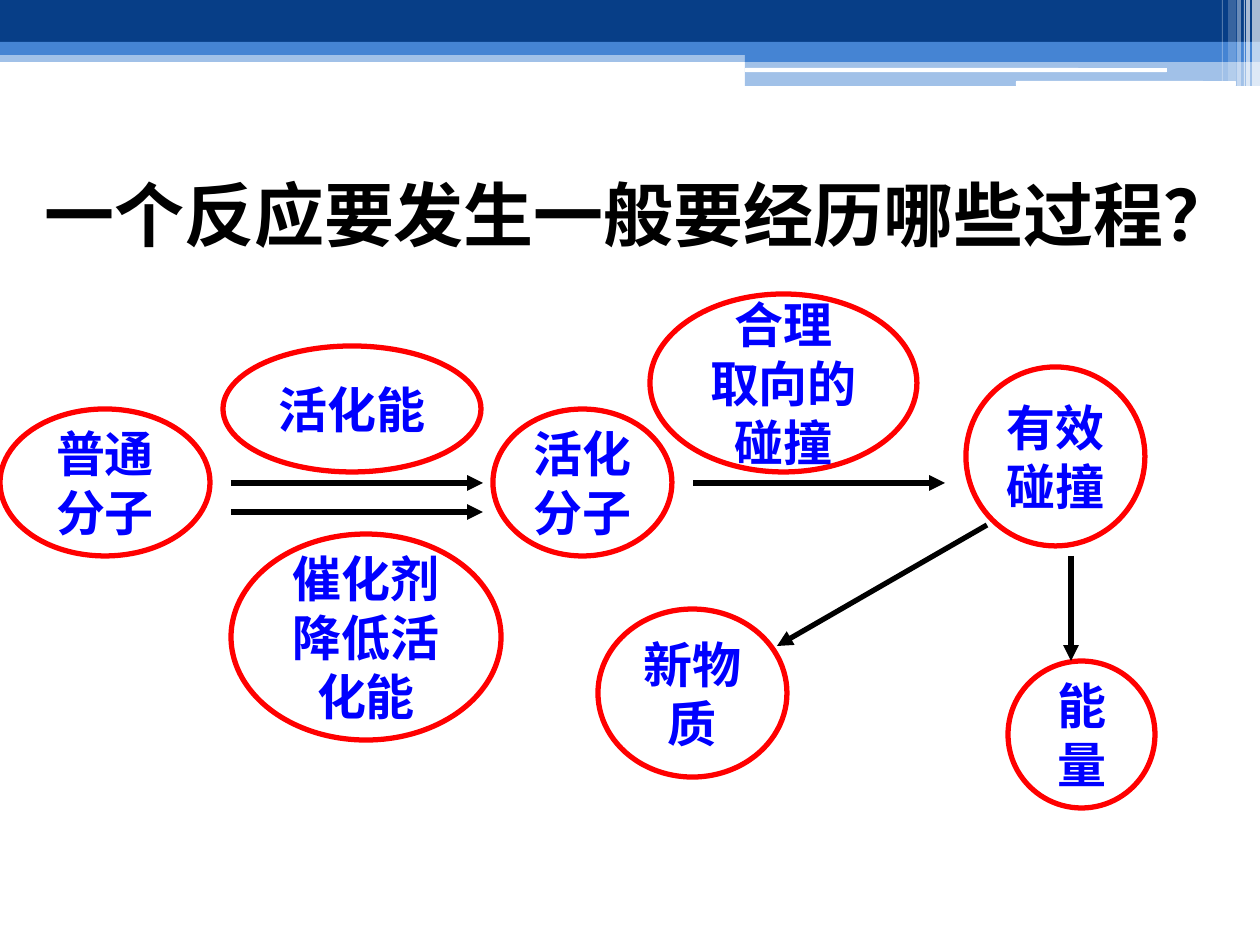
from lxml import etree
from pptx import Presentation
from pptx.dml.color import RGBColor
from pptx.enum.shapes import MSO_CONNECTOR, MSO_SHAPE
from pptx.enum.text import MSO_ANCHOR, PP_ALIGN
from pptx.oxml.ns import qn
from pptx.util import Emu, Pt

RECT, ROUND, OVAL = MSO_SHAPE.RECTANGLE, MSO_SHAPE.ROUNDED_RECTANGLE, MSO_SHAPE.OVAL
STRAIGHT = MSO_CONNECTOR.STRAIGHT
MIDDLE, CENTER = MSO_ANCHOR.MIDDLE, PP_ALIGN.CENTER

NAVY = RGBColor(0x07, 0x3E, 0x87)
SKY = RGBColor(0x45, 0x84, 0xD3)
WHITE = RGBColor(0xFF, 0xFF, 0xFF)
BLACK = RGBColor(0, 0, 0)
RED = RGBColor(0xFF, 0, 0)
BLUE = RGBColor(0, 0, 0xFF)
FONT = "Cabin"
PX_PER_INCH = 126


def px(*lengths):
    """Turn pixel lengths into EMU."""
    return [Emu(round(n * 914400 / PX_PER_INCH)) for n in lengths]


def add_filled(preset, box, color, opacity=100):
    shape = slide.shapes.add_shape(preset, *px(*box))
    shape.shadow.inherit = False
    shape.fill.solid()
    shape.fill.fore_color.rgb = color
    shape.line.fill.background()
    if opacity < 100:
        rgb = shape.fill._xPr.find(".//" + qn("a:srgbClr"))
        etree.SubElement(rgb, qn("a:alpha"), val=str(opacity * 1000))
    return shape


prs = Presentation()
prs.slide_width, prs.slide_height = px(1260, 945)
slide = prs.slides.add_slide(prs.slide_layouts[6])

# Header bands
bands = [
    (RECT, (0, 50, 1260, 12), SKY, 50),
    (RECT, (0, 0, 1260, 42), NAVY, 100),
    (RECT, (0, 42, 1260, 13), SKY, 100),
    (RECT, (745, 49, 515, 13), SKY, 100),
    (RECT, (745, 61, 515, 25), SKY, 50),
    (ROUND, (745, 68, 422, 4), WHITE, 100),
    (ROUND, (1016, 81, 220, 5), WHITE, 100),
]
for preset, box, color, opacity in bands:
    add_filled(preset, box, color, opacity)

# Vertical stripes at the right end: left, width, height, opacity
stripes = [
    (1252, 8, 86, 65), (1246, 4, 86, 65), (1244, 1, 86, 60),
    (1237, 4, 86, 40), (1228, 8, 81, 20), (1222, 1, 81, 30),
]
for left, width, height, opacity in stripes:
    add_filled(RECT, (left, 0, width, height), WHITE, opacity)

# Question
question = slide.shapes.add_textbox(*px(32, 165, 1220, 97)).text_frame
question.word_wrap = True
question.text = "一个反应要发生一般要经历哪些过程？"
font = question.paragraphs[0].font
font.name, font.size, font.bold = FONT, Pt(40), True
font.color.rgb = BLACK

# Stages of the reaction
stages = [
    ("普通\n分子", (0, 409, 210, 147)),
    ("活化能", (223, 346, 258, 126)),
    ("活化\n分子", (493, 409, 179, 147)),
    ("合理\n取向的\n碰撞", (650, 294, 267, 178)),
    ("有效\n碰撞", (966, 367, 179, 179)),
    ("新物质", (598, 609, 189, 168)),
    ("能量", (1008, 661, 147, 147)),
    ("催化剂降低活化能", (231, 534, 270, 206)),
]
for label, box in stages:
    oval = add_filled(OVAL, box, WHITE)
    oval.line.color.rgb = RED
    oval.line.width = Pt(3)
    frame = oval.text_frame
    frame.word_wrap = True
    frame.vertical_anchor = MIDDLE
    frame.text = label
    for paragraph in frame.paragraphs:
        paragraph.alignment = CENTER
        font = paragraph.font
        font.name, font.size, font.bold = FONT, Pt(28), True
        font.color.rgb = BLUE

# Arrows between stages: start x, start y, end x, end y
arrows = [
    (231, 483, 483, 483),
    (231, 512, 483, 512),
    (693, 483, 945, 483),
    (987, 525, 777, 646),
    (1071, 556, 1071, 661),
]
for ends in arrows:
    arrow = slide.shapes.add_connector(STRAIGHT, *px(*ends))
    arrow.line.color.rgb = BLACK
    arrow.line.width = Pt(3)
    etree.SubElement(arrow.line._get_or_add_ln(), qn("a:tailEnd"), type="triangle")
    etree.SubElement(arrow._element.spPr, qn("a:effectLst"))

prs.save("out.pptx")
